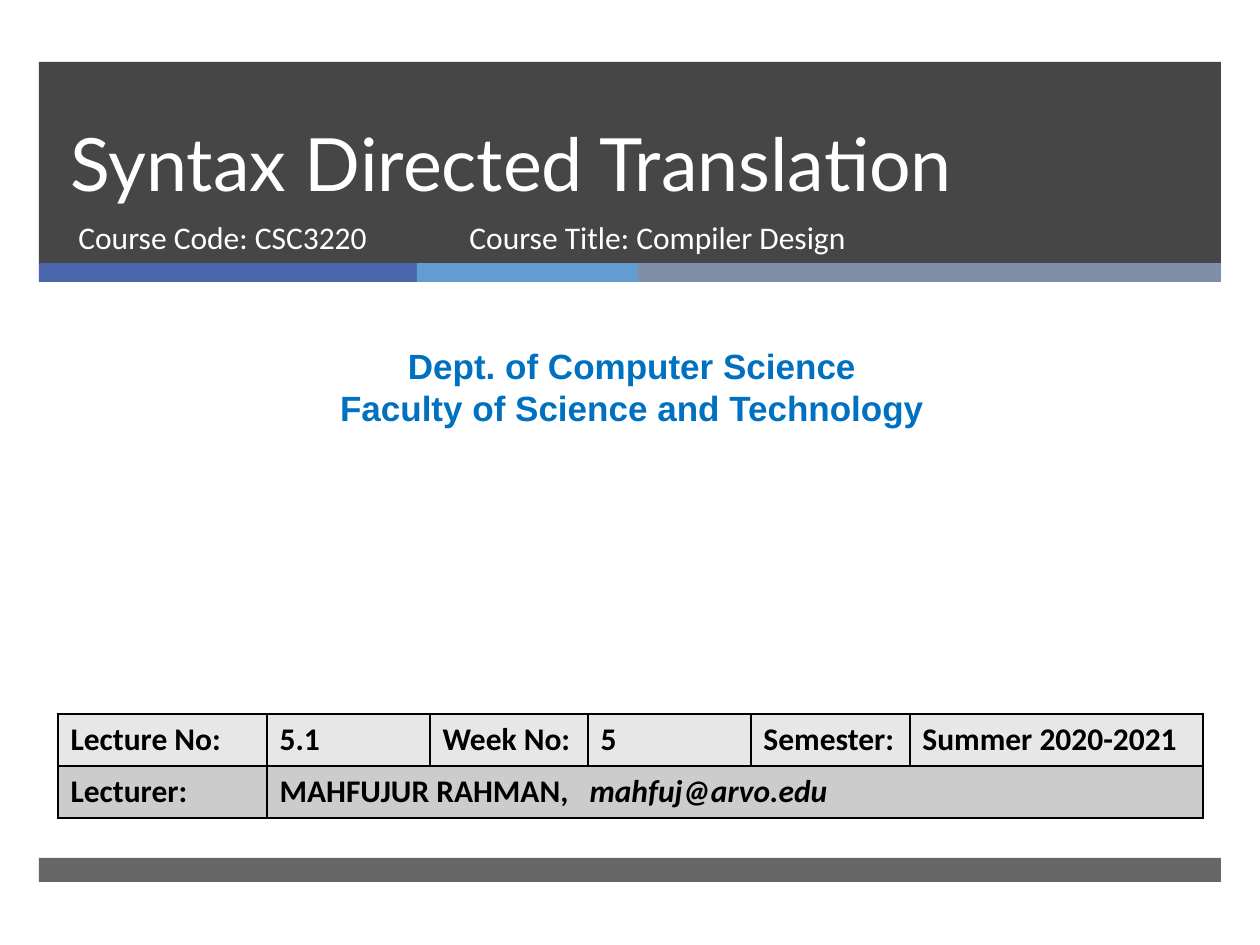
"""Build the title slide of a lecture on syntax directed translation."""
from lxml import etree
from pptx import Presentation
from pptx.dml.color import RGBColor
from pptx.enum.shapes import MSO_SHAPE
from pptx.enum.text import MSO_ANCHOR, PP_ALIGN
from pptx.oxml.ns import qn
from pptx.util import Pt

RECT = MSO_SHAPE.RECTANGLE
TOP, BOTTOM = MSO_ANCHOR.TOP, MSO_ANCHOR.BOTTOM
LEFT, CENTER = PP_ALIGN.LEFT, PP_ALIGN.CENTER
DARK = RGBColor(0x26, 0x26, 0x26)
INDIGO = RGBColor(0x4A, 0x66, 0xAC)
SKY = RGBColor(0x62, 0x9D, 0xD1)
SLATE = RGBColor(0x7F, 0x8F, 0xA9)
BLUE = RGBColor(0x00, 0x70, 0xC0)
WHITE = RGBColor(0xFF, 0xFF, 0xFF)
BLACK = RGBColor(0, 0, 0)
LIGHT_ROW = RGBColor(0xE7, 0xE7, 0xE7)
DARK_ROW = RGBColor(0xCC, 0xCC, 0xCC)
PX = 914400 / 126


def px(*values):
    return [round(v * PX) for v in values]


def style(p, name, size, color, bold=False):
    p.font.name = name
    p.font.size = Pt(size)
    p.font.color.rgb = color
    p.font.bold = bold


prs = Presentation()
prs.slide_width, prs.slide_height = px(1260, 945)
s = prs.slides.add_slide(prs.slide_layouts[6])

bars = [
    (39, 62, 1182, 202, DARK, 85),
    (39, 263, 378, 19, INDIGO, 100),
    (417, 263, 221, 19, SKY, 100),
    (638, 263, 583, 19, SLATE, 100),
    (39, 858, 1182, 24, DARK, 70),
]
for x, y, w, h, color, opacity in bars:
    sp = s.shapes.add_shape(RECT, *px(x, y, w, h))
    sp.shadow.inherit = False
    sp.fill.solid()
    sp.fill.fore_color.rgb = color
    sp.line.fill.background()
    if opacity < 100:
        clr = sp.fill._xPr.find(".//" + qn("a:srgbClr"))
        etree.SubElement(clr, qn("a:alpha"), val=str(opacity * 1000))

texts = [
    ((58, 62, 1076, 150), ["Syntax Directed Translation"], "Lato", 42, WHITE, False, LEFT, BOTTOM),
    ((66, 212, 384, 67), ["Course Code: CSC3220"], "Calibri", 18, WHITE, False, LEFT, TOP),
    ((10, 338, 1244, 97), ["Dept. of Computer Science", "Faculty of Science and Technology"],
     "Arial", 20, BLUE, True, CENTER, TOP),
    ((457, 212, 573, 67), ["Course Title: Compiler Design"], "Calibri", 18, WHITE, False, LEFT, TOP),
]
for box, lines, name, size, color, bold, align, anchor in texts:
    tf = s.shapes.add_textbox(*px(*box)).text_frame
    tf.word_wrap = True
    tf.vertical_anchor = anchor
    tf.text = "\n".join(lines)
    for p in tf.paragraphs:
        p.alignment = align
        style(p, name, size, color, bold)
        if size == 42:
            p.line_spacing = Pt(46)

col_widths = [209, 163, 158, 163, 159, 293]
row_height = 52
rows = [
    ["Lecture No:", "5.1", "Week No:", "5", "Semester:", "Summer 2020-2021"],
    ["Lecturer:", "MAHFUJUR RAHMAN,\t"],
]
frame = s.shapes.add_table(
    len(rows), len(col_widths), *px(58, 714, sum(col_widths), row_height * len(rows)))
table = frame.table
for col, width in zip(table.columns, px(*col_widths)):
    col.width = width
table.cell(1, 1).merge(table.cell(1, 5))

for i, (labels, fill) in enumerate(zip(rows, [LIGHT_ROW, DARK_ROW])):
    table.rows[i].height = px(row_height)[0]
    for j in range(len(col_widths)):
        cell = table.cell(i, j)
        tcPr = cell._tc.get_or_add_tcPr()
        for side in ("a:lnL", "a:lnR", "a:lnT", "a:lnB"):
            ln = etree.SubElement(tcPr, qn(side), w=str(Pt(1)))
            solid = etree.SubElement(ln, qn("a:solidFill"))
            etree.SubElement(solid, qn("a:srgbClr"), val=str(BLACK))
        cell.fill.solid()
        cell.fill.fore_color.rgb = fill
        if j < len(labels):
            p = cell.text_frame.paragraphs[0]
            p.add_run().text = labels[j]
            style(p, "Calibri", 18, BLACK, True)

p = table.cell(1, 1).text_frame.paragraphs[0]
r = p.add_run()
r.text = "mahfuj@arvo.edu"
r.font.italic = True
tabs = etree.Element(qn("a:tabLst"))
etree.SubElement(tabs, qn("a:tab"), pos=str(px(310)[0]), algn="l")
p._p.get_or_add_pPr().insert(0, tabs)

prs.save("out.pptx")
